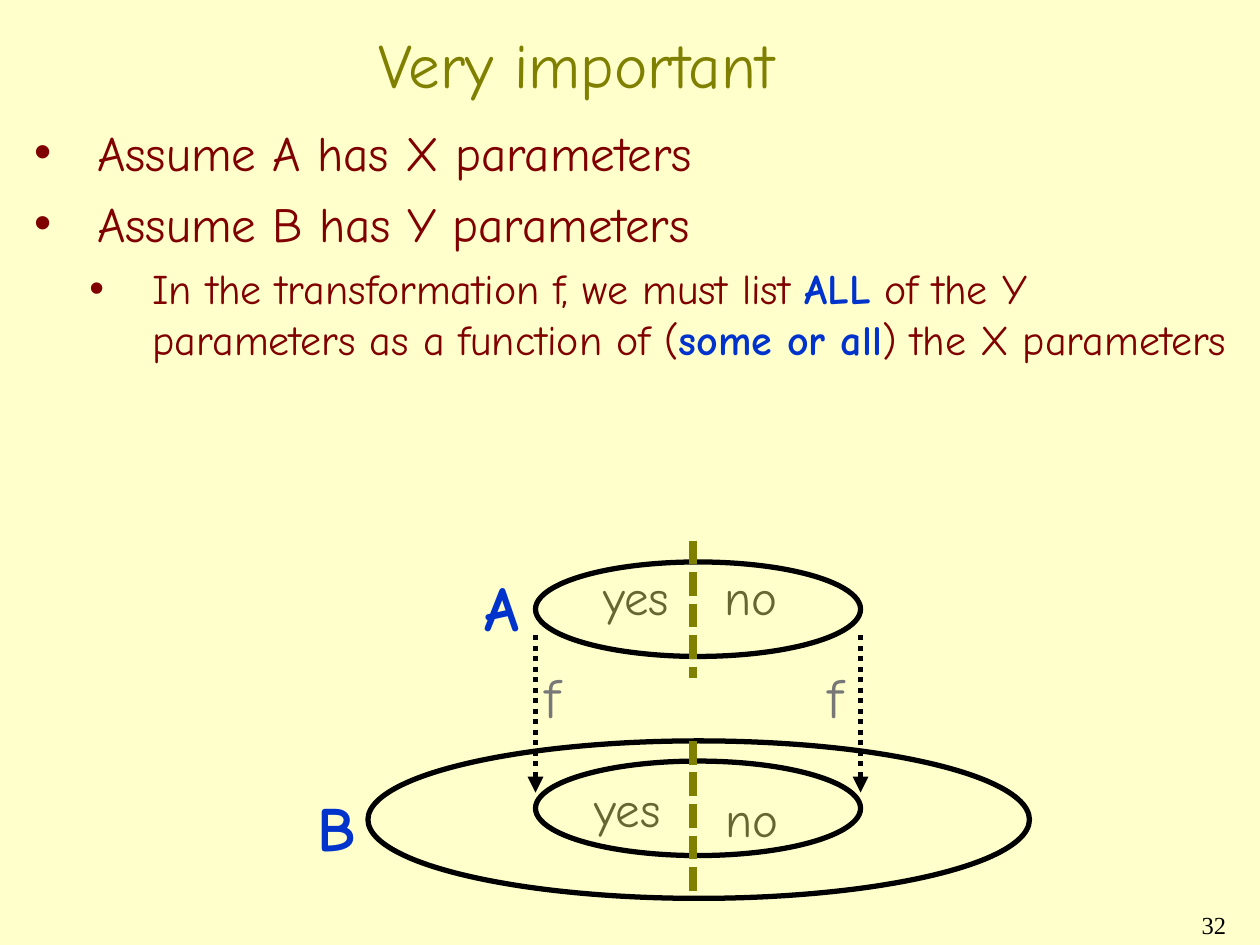
from lxml.etree import SubElement
from pptx import Presentation
from pptx.dml.color import RGBColor
from pptx.enum.dml import MSO_LINE_DASH_STYLE as Dash
from pptx.enum.shapes import MSO_CONNECTOR as Connector, MSO_SHAPE as Shape
from pptx.enum.text import MSO_ANCHOR as Anchor, MSO_AUTO_SIZE as AutoSize, PP_ALIGN as Align
from pptx.oxml.ns import qn
from pptx.util import Inches, Pt

CREAM = RGBColor(0xFF, 0xFF, 0xCC)
OLIVE = RGBColor(0x80, 0x80, 0x00)
MAROON = RGBColor(0x80, 0x00, 0x00)
BLUE = RGBColor(0x00, 0x33, 0xCC)
MOSS = RGBColor(0x66, 0x66, 0x33)
GRAY = RGBColor(0x77, 0x77, 0x77)
BLACK = RGBColor(0x00, 0x00, 0x00)
COMIC = "Comic Neue"
BULLETS = [
    (0, ["Assume A has X parameters"]),
    (0, ["Assume B has Y parameters"]),
    (1, ["In the transformation f, we must list ", "ALL",
         " of the Y parameters as a function of (", "some or all", ") the X parameters"]),
]


def place(part, box):
    """Move a part to a box of left, top, width and height in inches."""
    part.left, part.top, part.width, part.height = map(Inches, box)


def style(paragraph, size, color, name=COMIC, bold=False):
    """Set the font of a whole paragraph."""
    font = paragraph.font
    font.size, font.name, font.bold = Pt(size), name, bold
    font.color.rgb = color


def add_title(slide, box):
    """Fill the title, centred left of the middle of its box."""
    title = slide.shapes.title
    place(title, box)
    frame = title.text_frame
    frame.text = "Very important"
    frame.auto_size = AutoSize.NONE
    frame.vertical_anchor = Anchor.MIDDLE
    frame.margin_right = Inches(0.96)
    heading = frame.paragraphs[0]
    heading.alignment = Align.CENTER
    style(heading, 36, OLIVE)


def set_bullet(paragraph, left):
    """Give a paragraph a maroon bullet with a hanging indent."""
    props = paragraph._p.get_or_add_pPr()
    props.set("marL", str(Inches(left)))
    props.set("indent", str(Inches(-0.5)))
    SubElement(SubElement(props, qn("a:buClr")), qn("a:srgbClr")).set("val", str(MAROON))
    SubElement(props, qn("a:buChar")).set("char", "•")


def add_bullets(slide, box):
    """Fill the body with the assumptions, every second run emphasised."""
    body = slide.placeholders[1]
    place(body, box)
    frame = body.text_frame
    frame.auto_size = AutoSize.NONE
    for index, (level, parts) in enumerate(BULLETS):
        item = frame.paragraphs[0] if index == 0 else frame.add_paragraph()
        item.level = level
        item.space_before = Pt(7 - level)
        set_bullet(item, 0.94 if level else 0.5)
        style(item, 24 if level else 28, MAROON)
        for position, words in enumerate(parts):
            run = item.add_run()
            run.text = words
            if position % 2:
                run.font.bold = True
                run.font.color.rgb = BLUE


def add_label(slide, words, box, size, color, bold=False, wrap=False):
    """Add a one-line label."""
    label = slide.shapes.add_textbox(*map(Inches, box))
    frame = label.text_frame
    frame.word_wrap = wrap
    frame.auto_size = AutoSize.SHAPE_TO_FIT_TEXT
    line = frame.paragraphs[0]
    line.text = words
    line.space_before = Pt(size / 4)
    style(line, size, color, bold=bold)


def add_ellipse(slide, box):
    """Add an unfilled set outline."""
    ellipse = slide.shapes.add_shape(Shape.OVAL, *map(Inches, box))
    ellipse.shadow.inherit = False
    ellipse.fill.background()
    ellipse.line.color.rgb = BLACK
    ellipse.line.width = Pt(3)


def add_dotted_line(slide, x, top, bottom, color, width, arrow=False):
    """Add a vertical dotted line, with an arrowhead at its foot if asked."""
    line = slide.shapes.add_connector(
        Connector.STRAIGHT, Inches(x), Inches(top), Inches(x), Inches(bottom))
    line.line.color.rgb = color
    line.line.width = Pt(width)
    line.line.dash_style = Dash.ROUND_DOT if arrow else Dash.SQUARE_DOT
    if arrow:
        SubElement(line.line._get_or_add_ln(), qn("a:tailEnd")).set("type", "triangle")
    SubElement(line._element.spPr, qn("a:effectLst"))


def add_diagram(slide, box):
    """Draw problem A mapped by f into problem B."""
    left, top, width, height = box
    inner_left, inner_width, inner_height = left + 1.33, 2.58, 0.75
    divider = left + 2.58
    add_ellipse(slide, (inner_left, top + 0.17, inner_width, inner_height))
    add_ellipse(slide, (left, top + height - 1.25, width, 1.25))
    add_ellipse(slide, (inner_left, top + 1.75, inner_width, inner_height))
    for x in (inner_left, inner_left + inner_width):
        add_dotted_line(slide, x, top + 0.75, top + 2, BLACK, 3, arrow=True)
    add_dotted_line(slide, divider, top, top + 1.09, OLIVE, 4.5)
    add_dotted_line(slide, divider, top + height - 1.25, top + height, OLIVE, 4.5)
    for answer, x, y, label_width in (
            ("yes", 1.77, 0.16, 0.73), ("yes", 1.7, 1.84, 0.73),
            ("no", 2.73, 0.16, 0.62), ("no", 2.74, 1.92, 0.62)):
        add_label(slide, answer, (left + x, top + y, label_width, 0.57), 28, MOSS)
    for problem, x, y in (("A", 0.83, 0.17), ("B", -0.5, 1.92)):
        add_label(slide, problem, (left + x, top + y, 0.47, 0.7), 36, BLUE, bold=True, wrap=True)
    for x in (1.3, 3.55):
        add_label(slide, "f", (left + x, top + 0.92, 0.32, 0.64), 32, GRAY)


def add_page_number(slide, box):
    """Add the page number, right-aligned."""
    page = slide.shapes.add_textbox(*map(Inches, box))
    page.text_frame.word_wrap = True
    number = page.text_frame.paragraphs[0]
    number.text = "32"
    number.alignment = Align.RIGHT
    style(number, 14, BLACK, "Times New Roman")


def main():
    """Build and save the slide."""
    deck = Presentation()
    deck.slide_width, deck.slide_height = Inches(10), Inches(7.5)
    slide = deck.slides.add_slide(deck.slide_layouts[1])
    slide.background.fill.solid()
    slide.background.fill.fore_color.rgb = CREAM
    add_title(slide, (0.17, 0.17, 9.67, 0.67))
    add_bullets(slide, (0.17, 0.92, 9.67, 3.04))
    add_diagram(slide, (2.92, 4.29, 5.25, 2.84))
    add_page_number(slide, (7.75, 7.17, 2.08, 0.33))
    deck.save("out.pptx")


if __name__ == "__main__":
    main()
